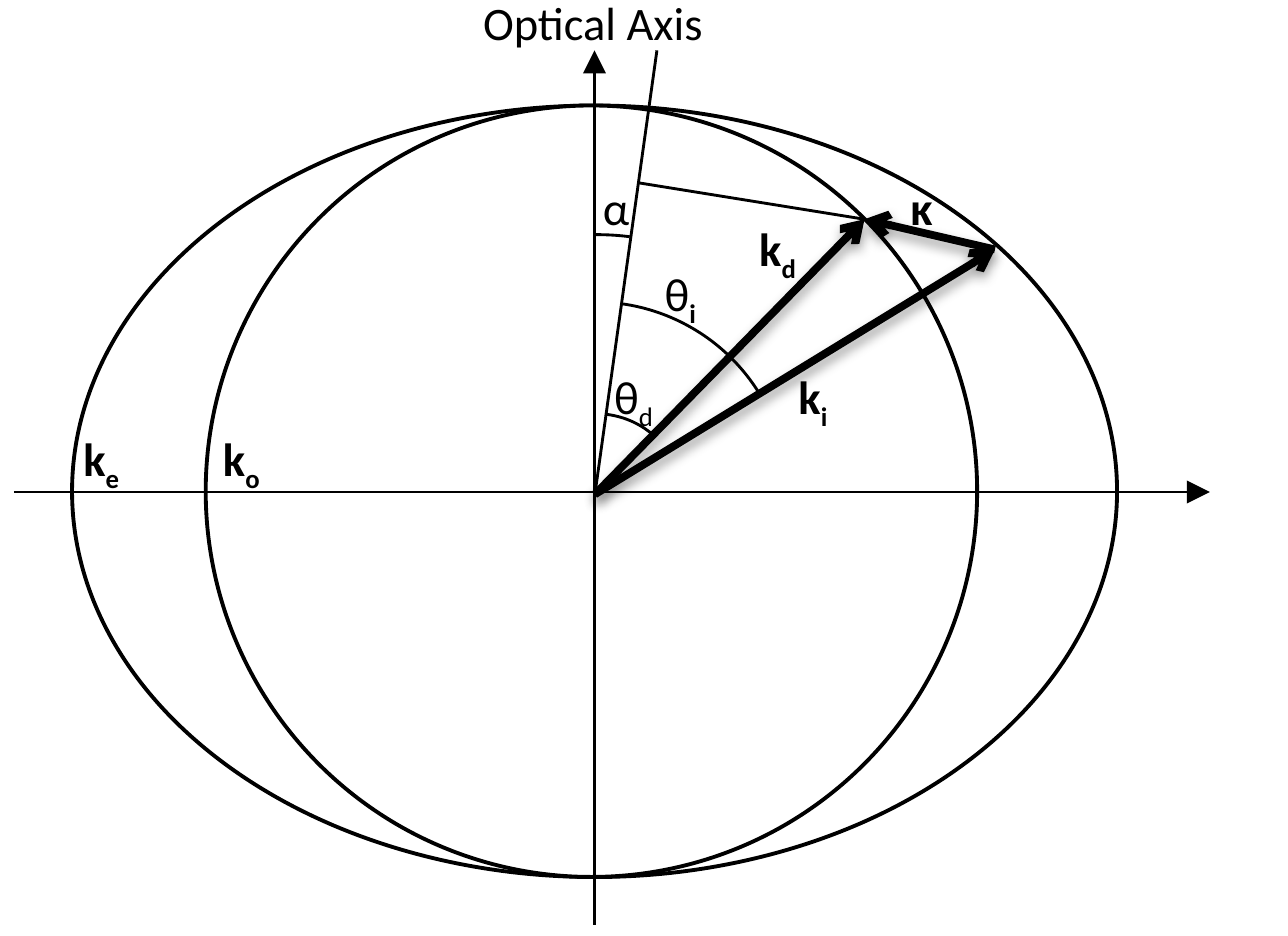
from lxml import etree
from pptx import Presentation
from pptx.dml.color import RGBColor
from pptx.enum import shapes, text
from pptx.oxml import ns
from pptx.util import Pt

BLACK = RGBColor(0, 0, 0)
WHITE = RGBColor(255, 255, 255)
ORIGIN = (153.3, 127.4)
DIFFRACTED_TIP = (222.8, 56.5)
INCIDENT_TIP = (256.4, 64.3)

deck = Presentation()
deck.slide_width, deck.slide_height = Pt(331.92), Pt(241.2)
slide = deck.slides.add_slide(deck.slide_layouts[6])


def add_outline(preset, box, width):
    """Add a black outlined preset shape at left, top, width, height."""
    outline = slide.shapes.add_shape(preset, *map(Pt, box))
    outline.shadow.inherit = False
    outline.line.color.rgb = BLACK
    outline.line.width = Pt(width)
    return outline


def add_line(start, end, width=0.75, head=None, shadow=False):
    """Add a black line with an optional arrowhead and soft shadow."""
    line = slide.shapes.add_connector(
        shapes.MSO_CONNECTOR.STRAIGHT, *map(Pt, start + end))
    line.line.color.rgb = BLACK
    line.line.width = Pt(width)
    properties = line._element.spPr
    if head:
        etree.SubElement(properties.find(ns.qn("a:ln")),
                         ns.qn("a:tailEnd"), type=head)
    effects = etree.SubElement(properties, ns.qn("a:effectLst"))
    if shadow:
        outer = etree.SubElement(
            effects, ns.qn("a:outerShdw"), blurRad=str(Pt(3.1)),
            dist=str(Pt(1.6)), dir="5400000", rotWithShape="0")
        colour = etree.SubElement(outer, ns.qn("a:srgbClr"), val=str(BLACK))
        etree.SubElement(colour, ns.qn("a:alpha"), val="38000")


# Wave surfaces: extraordinary ellipse, ordinary circle
for surface_box in ((18.6, 27.2, 269.3, 198.8), (53, 27.2, 198.8, 198.8)):
    surface = add_outline(shapes.MSO_SHAPE.OVAL, surface_box, 1)
    surface.fill.solid()
    surface.fill.fore_color.rgb = WHITE

# Coordinate axes
add_line((153.2, 238.3), (153.2, 13), head="triangle")
add_line((3.6, 126.8), (311.8, 126.8), head="triangle")

# Angle arcs: box, start and end in degrees
for arc_box, start_angle, end_angle in (
    ((103.7, 77.8, 99.4, 99.4), 277.8, 328.8),
    ((131.8, 106.6, 43.2, 39.6), 278.8, 315.5),
    ((97.2, 60.5, 113, 93.6), 269.3, 280.6),
):
    arc = add_outline(shapes.MSO_SHAPE.ARC, arc_box, 0.75)
    arc.fill.background()
    # One adjustment unit is 100000 of the 60000 steps in a degree
    arc.adjustments[0] = start_angle * 0.6
    arc.adjustments[1] = end_angle * 0.6

# Wave vectors
for tail, tip in ((ORIGIN, INCIDENT_TIP), (ORIGIN, DIFFRACTED_TIP),
                  (INCIDENT_TIP, DIFFRACTED_TIP)):
    add_line(tail, tip, width=2, head="arrow", shadow=True)

# Tilted optical axis and the line across to the diffracted tip
add_line(ORIGIN, (169.3, 13))
add_line((164.4, 47.1), DIFFRACTED_TIP)

# Labels: left, top, width, wrap, symbol, bold, subscript, subscript bold
for left, top, width, wrap, symbol, bold, subscript, subscript_bold in (
    (227.5, 42.5, 20.2, False, "κ", True, "", False),
    (188.6, 53.3, 28.8, True, "k", True, "d", True),
    (151.2, 91.4, 25.2, False, "θ", False, "d", False),
    (164.2, 64.8, 23, False, "θ", False, "i", True),
    (198.7, 91.4, 28.8, True, "k", True, "i", True),
    (117.4, -5, 72, False, "Optical Axis", False, "", False),
    (50.4, 107.3, 28.8, True, "k", True, "o", True),
    (14.4, 107.3, 28.8, True, "k", True, "e", True),
    (148.3, 42.5, 21.6, False, "α", False, "", False),
):
    label = slide.shapes.add_textbox(Pt(left), Pt(top), Pt(width), Pt(21.6))
    label.text_frame.word_wrap = wrap
    label.text_frame.auto_size = text.MSO_AUTO_SIZE.SHAPE_TO_FIT_TEXT
    for part, part_bold, baseline in ((symbol, bold, 0),
                                      (subscript, subscript_bold, -25000)):
        if not part:
            continue
        run = label.text_frame.paragraphs[0].add_run()
        run.text = part
        run.font.color.rgb = BLACK
        style = {"name": "Calibri", "size": Pt(12), "bold": part_bold}
        for attribute, value in style.items():
            setattr(run.font, attribute, value)
        if baseline:
            run._r.get_or_add_rPr().set("baseline", str(baseline))

deck.save("out.pptx")
